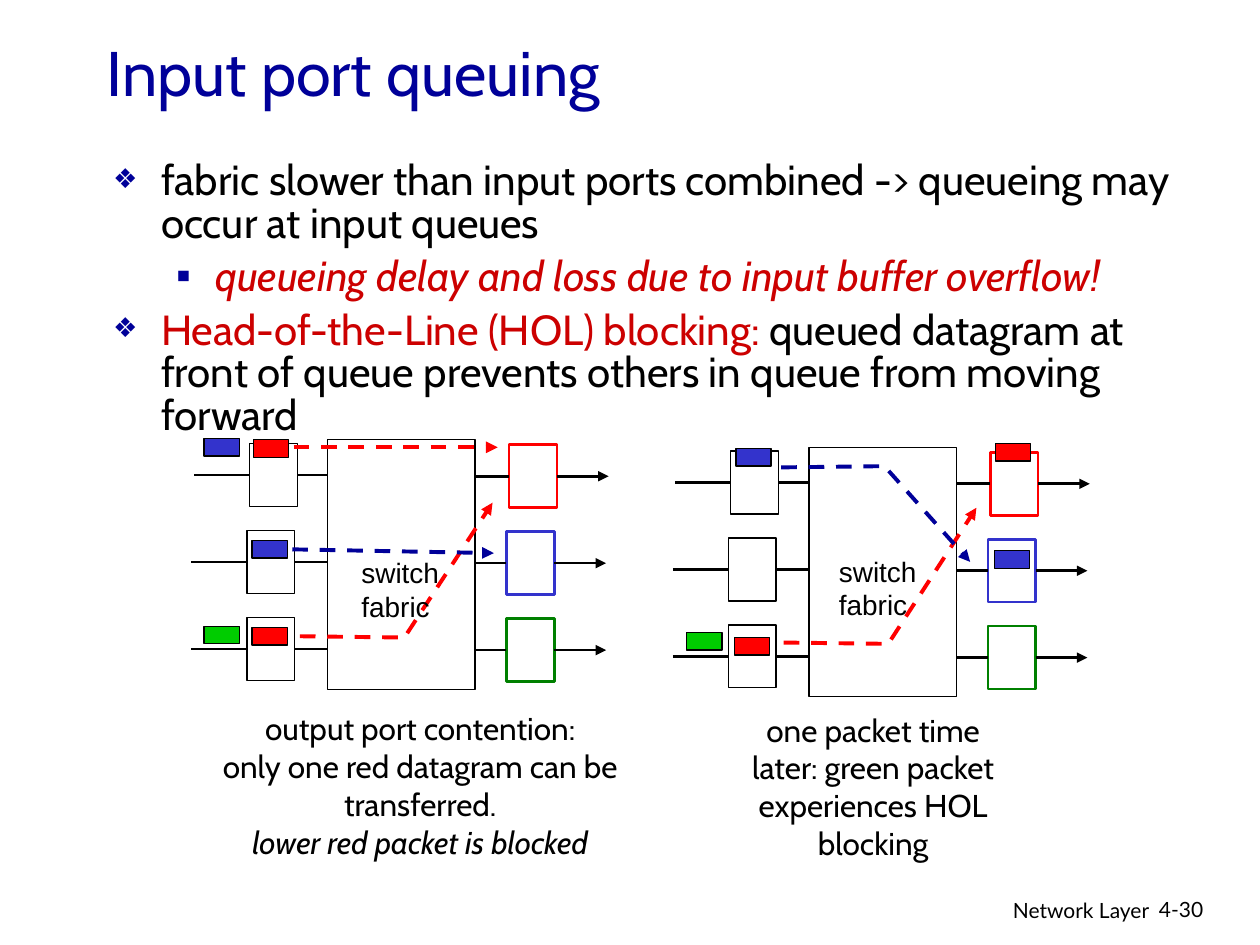
"""Build the slide on input port queuing and head-of-the-line blocking."""
from lxml import etree
from pptx import Presentation
from pptx import util as u
from pptx.dml.color import RGBColor
from pptx.enum import dml, shapes, text
from pptx.oxml.ns import qn

COLORS = {
    "black": "000000", "white": "FFFFFF", "navy": "000099", "crimson": "CC0000",
    "red": "FF0000", "blue": "3333CC", "green": "00CC00", "dark_green": "008000",
}
TITLE = {"size": 36, "name": "Cabin", "color": "navy"}
BODY = {"size": 24, "name": "Cabin", "color": "black"}
CAPTION = {"size": 18, "name": "Cabin", "color": "black"}
LABEL = {"size": 16, "name": "Arial", "color": "black"}
FOOTER = {"size": 12, "name": "Lato", "color": "black"}
BULLETS = [
    {"char": "❖", "scale": 65, "left": 0.38, "hang": 0.38},
    {"char": "▪", "scale": 100, "left": 0.81, "hang": 0.31},
]
CENTER, RIGHT = text.PP_ALIGN.CENTER, text.PP_ALIGN.RIGHT
ROWS = [(0.02, 0), (0, 0.69), (0, 1.38)]
OUTPUT_COLORS = ["red", "blue", "dark_green"]


def rgb(name):
    """Return the palette colour of that name."""
    return RGBColor.from_string(COLORS[name])


def set_font(font, fmt):
    """Apply a dict of format values to a font."""
    for key, value in fmt.items():
        if key == "color":
            font.color.rgb = rgb(value)
        else:
            setattr(font, key, u.Pt(value) if key == "size" else value)


def add_bullet(p, level):
    """Give a paragraph the hanging bullet of its level."""
    bullet = BULLETS[level]
    p.level = level
    pPr = p._p.get_or_add_pPr()
    pPr.set("marL", str(u.Inches(bullet["left"])))
    pPr.set("indent", str(-u.Inches(bullet["hang"])))
    color = etree.SubElement(pPr, qn("a:buClr"))
    etree.SubElement(color, qn("a:srgbClr"), val=COLORS["navy"])
    etree.SubElement(pPr, qn("a:buSzPct"), val=str(bullet["scale"] * 1000))
    etree.SubElement(pPr, qn("a:buFont"), typeface="Arial")
    etree.SubElement(pPr, qn("a:buChar"), char=bullet["char"])


def add_runs(p, runs, fmt):
    """Add (text, format changes) runs, with "\\n" as a line break."""
    for words, changes in runs:
        if words == "\n":
            p.add_line_break()
            continue
        r = p.add_run()
        r.text = words
        set_font(r.font, {**fmt, **changes})


def add_text(s, box, paragraphs, fmt, align=None):
    """Add a text box holding one paragraph per list of runs."""
    sp = s.add_textbox(*map(u.Inches, box))
    tf = sp.text_frame
    tf.word_wrap = True
    for i, runs in enumerate(paragraphs):
        p = tf.add_paragraph() if i else tf.paragraphs[0]
        p.alignment = align
        add_runs(p, runs, fmt)
    return tf


def add_body(s, items):
    """Add the bulleted text from (level, runs) items."""
    tf = add_text(s, (0.8, 1.23, 8.86, 2.9), [runs for _, runs in items], BODY)
    for i, (level, _) in enumerate(items):
        p = tf.paragraphs[i]
        add_bullet(p, level)
        p.line_spacing = 0.85
        p.space_before = u.Pt(6 if i else 0)


def add_box(s, x, y, w, h, fill="white", line="black", width=0.75):
    """Add a filled and outlined rectangle."""
    sp = s.add_shape(shapes.MSO_SHAPE.RECTANGLE, *map(u.Inches, (x, y, w, h)))
    sp.shadow.inherit = False
    sp.fill.solid()
    sp.fill.fore_color.rgb = rgb(fill)
    sp.line.color.rgb = rgb(line)
    sp.line.width = u.Pt(width)
    return sp


def add_packet(s, x, y, color):
    """Add a small coloured packet."""
    add_box(s, x, y, 0.28, 0.14, color)


def style_line(sp, color, width, dashed=False, arrow=False):
    """Set the stroke of a line and its arrowhead."""
    sp.line.color.rgb = rgb(color)
    sp.line.width = u.Pt(width)
    if dashed:
        sp.line.dash_style = dml.MSO_LINE.DASH
    if arrow:
        ln = sp._element.spPr.find(qn("a:ln"))
        etree.SubElement(ln, qn("a:tailEnd"), type="triangle")


def add_line(s, start, end, color="black", width=1.5, dashed=False, arrow=False):
    """Add a straight connector between two points."""
    points = map(u.Inches, (*start, *end))
    sp = s.add_connector(shapes.MSO_CONNECTOR.STRAIGHT, *points)
    style_line(sp, color, width, dashed, arrow)
    etree.SubElement(sp._element.spPr, qn("a:effectLst"))
    return sp


def add_route(s, points, color):
    """Add a dashed packet route that bends and ends in an arrowhead."""
    start, *rest = [(u.Inches(x), u.Inches(y)) for x, y in points]
    builder = s.build_freeform(*start)
    builder.add_line_segments(rest, close=False)
    sp = builder.convert_to_shape()
    sp.shadow.inherit = False
    sp.fill.background()
    style_line(sp, color, 2.25, True, True)


def add_switch(s, x, y):
    """Add a switch: its fabric, three input ports and three output ports."""
    add_box(s, x + 1.08, y, 1.17, 1.98)
    for (dx, dy), color in zip(ROWS, OUTPUT_COLORS):
        left, mid = x + dx, y + 0.28 + dy
        mid_out = mid + 0.01
        port_in = add_box(s, left + 0.44, mid - 0.25, 0.38, 0.5)
        port_out = add_box(s, left + 2.5, mid_out - 0.25, 0.38, 0.5, line=color, width=1.5)
        add_line(s, (left, mid), (left + 0.44, mid)).end_connect(port_in, 1)
        add_line(s, (left + 0.82, mid), (x + 1.08, mid)).begin_connect(port_in, 3)
        add_line(s, (x + 2.25, mid_out), (left + 2.5, mid_out)).end_connect(port_out, 1)
        out = add_line(s, (left + 2.88, mid_out), (left + 3.29, mid_out), arrow=True)
        out.begin_connect(port_out, 3)


def add_fabric_label(s, x, y):
    """Label the switch fabric."""
    add_text(s, (x, y, 0.95, 0.64), [[("switch", {})], [("fabric", {})]], LABEL)


def add_contention(s):
    """Draw the switch while two red packets want the same output."""
    add_switch(s.add_group_shape().shapes, 1.52, 3.49)
    for packet in [(2.01, 3.49, "red"), (2, 4.29, "blue"), (2, 4.98, "red"),
                   (1.62, 3.48, "blue"), (1.62, 4.97, "green")]:
        add_packet(s, *packet)
    add_line(s, (2.33, 3.55), (3.95, 3.55), "red", 2.25, True, True)
    add_route(s, [(2.38, 5.05), (3.21, 5.06), (3.91, 3.99)], "red")
    add_text(s, (1.48, 5.58, 3.71, 1.3), [
        [("output port contention:", {})],
        [("only one red datagram can be transferred.", {}), ("\n", {}),
         ("lower red packet is blocked", {"italic": True})],
    ], CAPTION, CENTER)
    add_fabric_label(s, 2.77, 4.36)
    add_line(s, (2.32, 4.36), (3.92, 4.39), "navy", 2.25, True, True)


def add_blocking(s):
    """Draw the switch one packet time later, with green blocked."""
    add_switch(s, 5.34, 3.55)
    add_text(s, (5.71, 5.59, 2.44, 1.3), [
        [("one packet time later: green packet experiences HOL blocking", {})],
    ], CAPTION, CENTER)
    add_fabric_label(s, 6.56, 4.35)
    for packet in [(7.9, 3.52, "red"), (5.84, 3.56, "blue"), (5.83, 5.06, "red")]:
        add_packet(s, *packet)
    add_route(s, [(6.22, 5.1), (7.05, 5.11), (7.75, 4.03)], "red")
    add_route(s, [(6.2, 3.71), (7.02, 3.7), (7.7, 4.46)], "navy")
    for packet in [(5.45, 5.02, "green"), (7.89, 4.37, "blue")]:
        add_packet(s, *packet)


def main():
    """Build and save the slide."""
    prs = Presentation()
    prs.slide_width, prs.slide_height = u.Inches(10), u.Inches(7.5)
    s = prs.slides.add_slide(prs.slide_layouts[6]).shapes
    add_text(s, (6.05, 7.07, 3.17, 0.31), [[("Network Layer", {})]], FOOTER, RIGHT)
    add_text(s, (9.1, 7.07, 0.74, 0.3), [[("4-30", {})]], FOOTER)
    title = add_text(s, (0.75, 0.32, 8.5, 0.5), [[("Input port queuing", {})]], TITLE)
    title.vertical_anchor = text.MSO_ANCHOR.MIDDLE
    add_body(s, [
        (0, [("fabric slower than input ports combined -> queueing may occur at input queues", {})]),
        (1, [("queueing delay and loss due to input buffer overflow!",
              {"color": "crimson", "italic": True})]),
        (0, [("Head-of-the-Line (HOL) blocking:", {"color": "crimson"}),
             (" queued datagram at front of queue prevents others in queue from moving forward", {})]),
    ])
    add_contention(s)
    add_blocking(s.add_group_shape().shapes)
    prs.save("out.pptx")


if __name__ == "__main__":
    main()
